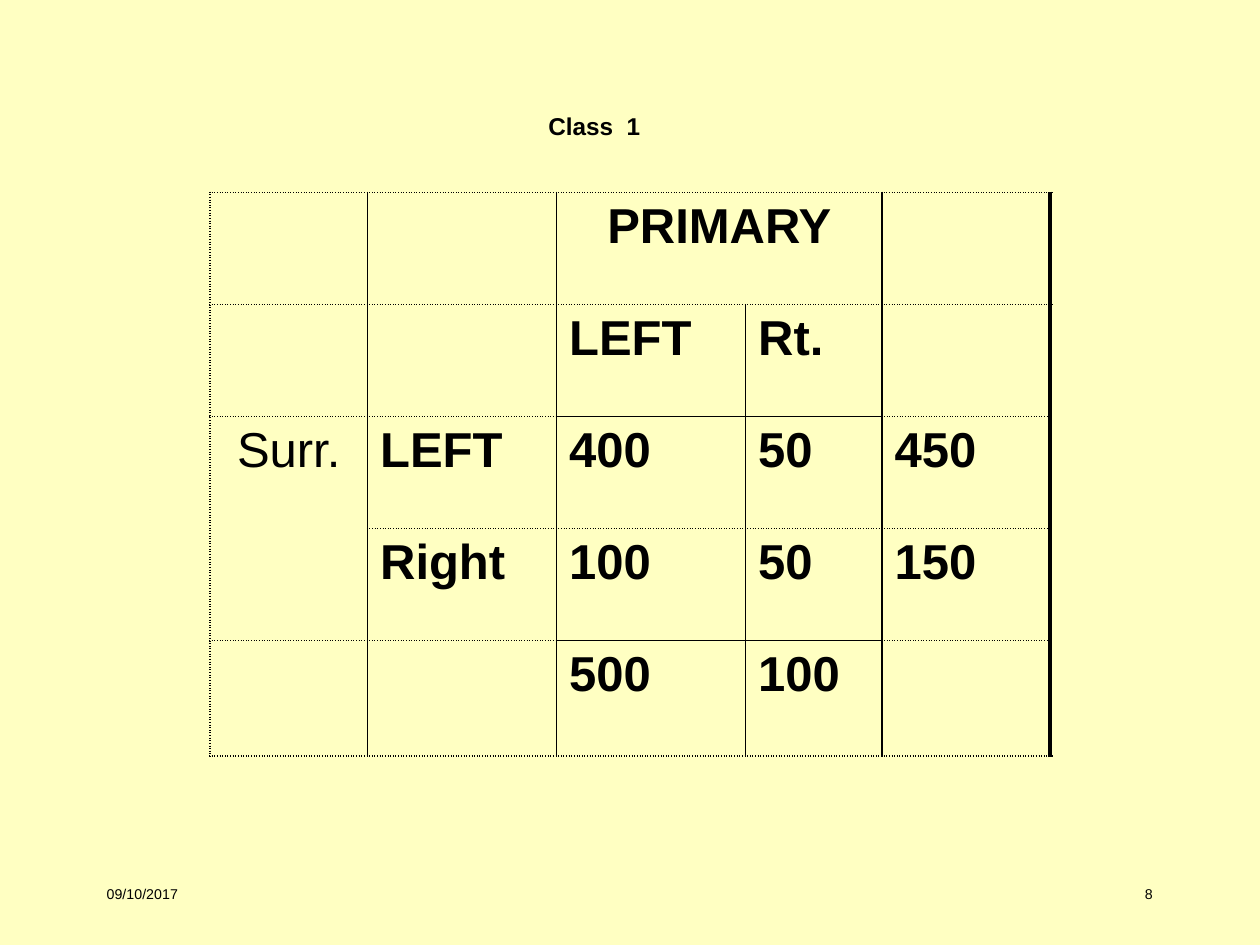
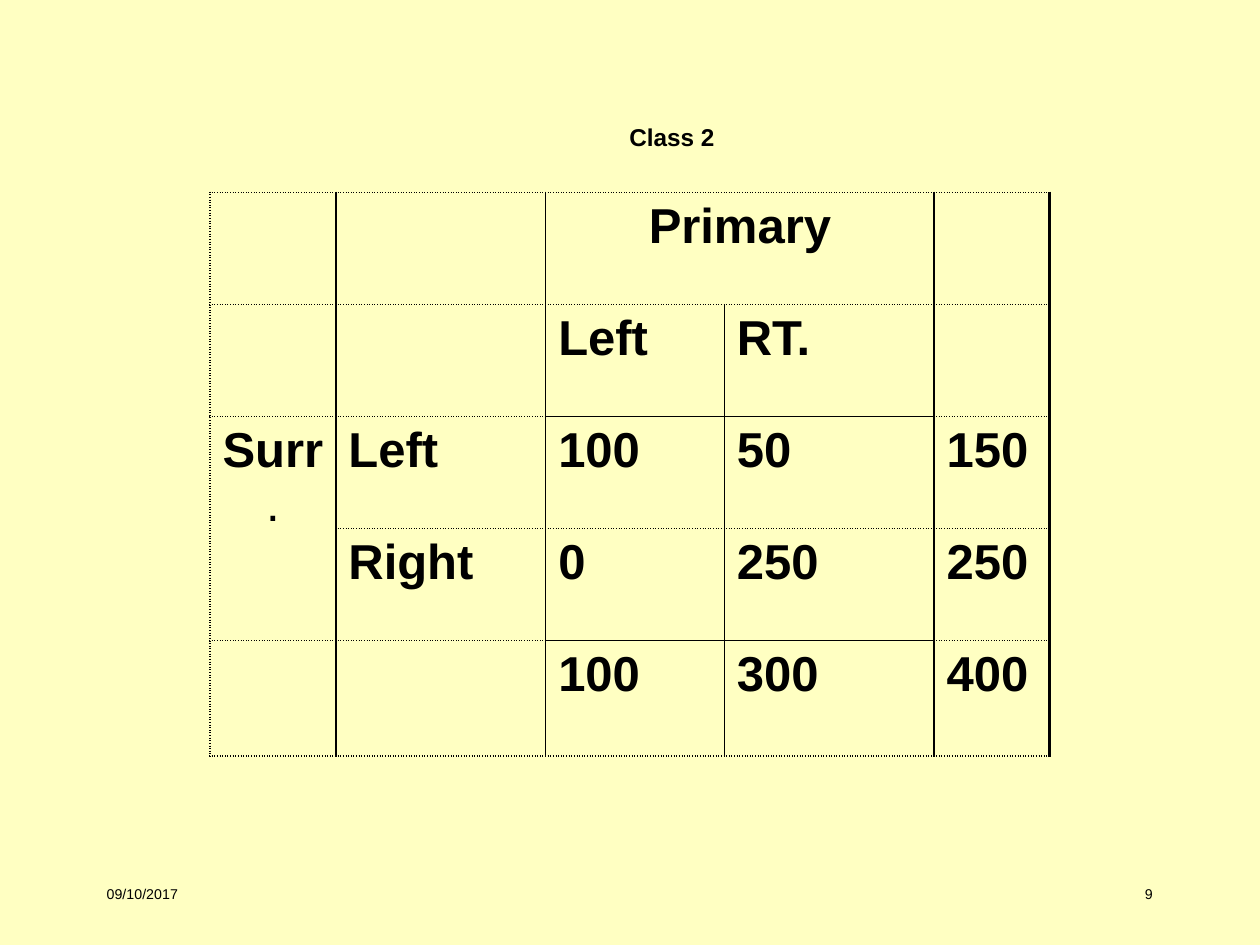
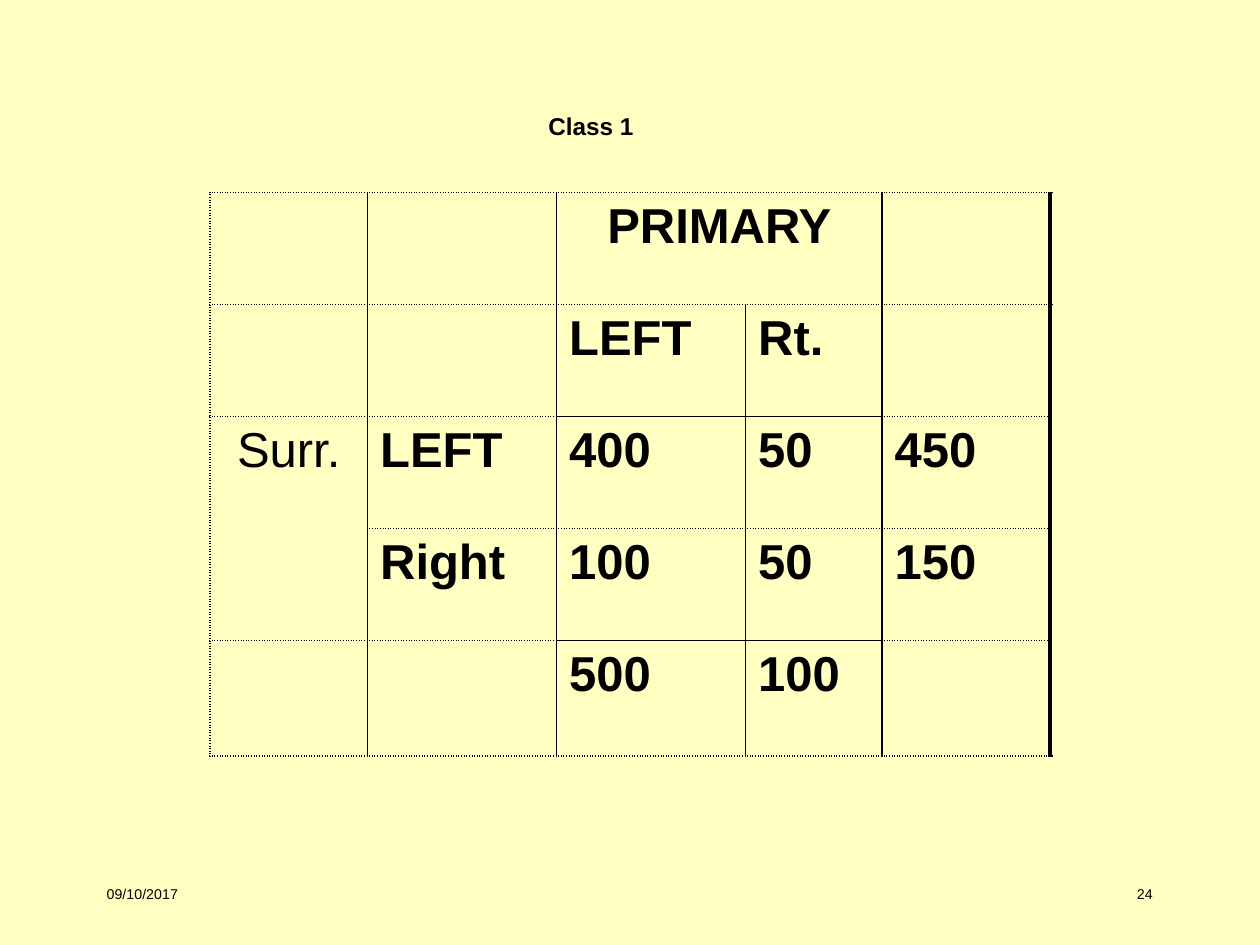
from dataclasses import dataclass

from lxml import etree
from pptx import Presentation
from pptx import util as u
from pptx.dml.color import RGBColor
from pptx.enum import text
from pptx.oxml.ns import qn

LEFT, CENTER, RIGHT = text.PP_ALIGN.LEFT, text.PP_ALIGN.CENTER, text.PP_ALIGN.RIGHT


# Shared look
@dataclass(frozen=True)
class Theme:
    background: str = "FFFFC2"
    ink: str = "000000"
    font: str = "Arial"
    title_size: int = 24
    cell_size: int = 28
    footer_size: int = 14
    subscript: int = -33000
    space_before: int = 20000
    thin: float = 1
    thick: float = 2.25


THEME = Theme()
DATE = "09/10/2017"
TITLE_ONLY = 5
BOX_HEIGHT = 1.27
ROW_HEIGHTS = (2.26, 2.26, 2.26, 2.26, 2.32)
INNER_COLUMNS = (2, 3)   # the primary split
RULED_ROWS = (2, 4)      # solid rule above these rows in the inner columns


# Contents; in a cell, text after "|" is not bold
@dataclass(frozen=True)
class Crosstab:
    columns: tuple[float, ...]
    rows: tuple[tuple[str, ...], ...]


@dataclass(frozen=True)
class ClassSlide:
    title: str
    left: float
    top: float
    width: float
    align: text.PP_ALIGN
    number: int
    crosstab: Crosstab


CLASS_1 = Crosstab(
    (3.18, 3.81, 3.81, 2.75, 3.39),
    (
        ("", "", "PRIMARY", "", ""),
        ("", "", "LEFT", "Rt.", ""),
        ("|Surr.", "LEFT", "400", "50", "450"),
        ("", "Right", "100", "50", "150"),
        ("", "", "500", "100", ""),
    ),
)
CLASS_2 = Crosstab(
    (2.54, 4.23, 3.6, 4.23, 2.33),
    (
        ("", "", "Primary", "", ""),
        ("", "", "Left", "RT.", ""),
        ("Surr|.", "Left", "100", "50", "150"),
        ("", "Right", "0", "250", "250"),
        ("", "", "100", "300", "400"),
    ),
)
CLASS_SLIDES = (
    ClassSlide("Class  1", 10.8, 1.48, 4.45, LEFT, 8, CLASS_1),
    ClassSlide("Class 2", 10.58, 1.69, 5.93, CENTER, 9, CLASS_2),
    ClassSlide("Class 1", 10.8, 1.48, 5.29, LEFT, 24, CLASS_1),
)


# Text
def format_run(run, size: int, bold: bool) -> None:
    run.font.name = THEME.font
    run.font.size = u.Pt(size)
    run.font.bold = bold
    run.font.color.rgb = RGBColor.from_string(THEME.ink)


def fill_box(box, words: str, size: int, align: text.PP_ALIGN, bold: bool = False) -> None:
    frame = box.text_frame
    frame.text = words
    frame.word_wrap = True
    frame.vertical_anchor = text.MSO_ANCHOR.TOP
    paragraph = frame.paragraphs[0]
    paragraph.alignment = align
    for run in paragraph.runs:
        format_run(run, size, bold)
        run._r.get_or_add_rPr().set("baseline", str(THEME.subscript))


def add_footer(slide, left: float, words: str, align: text.PP_ALIGN) -> None:
    box = slide.shapes.add_textbox(u.Cm(left), u.Cm(17.36), u.Cm(5.29), u.Cm(BOX_HEIGHT))
    fill_box(box, words, THEME.footer_size, align)


def place_title(slide, content: ClassSlide) -> None:
    title = slide.shapes.title
    title.left, title.top = u.Cm(content.left), u.Cm(content.top)
    title.width, title.height = u.Cm(content.width), u.Cm(BOX_HEIGHT)
    fill_box(title, content.title, THEME.title_size, content.align, bold=True)
    title.text_frame.auto_size = text.MSO_AUTO_SIZE.SHAPE_TO_FIT_TEXT


# Table
def set_border(cell, side: str, width: float, dotted: bool) -> None:
    line = etree.Element(qn(f"a:{side}"), w=str(u.Pt(width)))
    solid = etree.SubElement(line, qn("a:solidFill"))
    etree.SubElement(solid, qn("a:srgbClr"), val=THEME.ink)
    etree.SubElement(line, qn("a:prstDash"), val="sysDot" if dotted else "solid")
    cell._tc.get_or_add_tcPr().append(line)


def draw_borders(cell, row: int, column: int, last_column: int) -> None:
    inner = column in INNER_COLUMNS
    right = THEME.thick if column == last_column else THEME.thin
    set_border(cell, "lnL", THEME.thin, column == 0)
    set_border(cell, "lnR", right, False)
    set_border(cell, "lnT", THEME.thin, not (inner and row in RULED_ROWS))
    set_border(cell, "lnB", THEME.thin, not (inner and row + 1 in RULED_ROWS))


def write_cell(cell, words: str) -> None:
    paragraph = cell.text_frame.paragraphs[0]
    paragraph.alignment = CENTER if cell.is_merge_origin else LEFT
    spacing = etree.SubElement(paragraph._p.get_or_add_pPr(), qn("a:spcBef"))
    etree.SubElement(spacing, qn("a:spcPct"), val=str(THEME.space_before))
    strong, _, plain = words.partition("|")
    for part, bold in ((strong, True), (plain, False)):
        if part:
            run = paragraph.add_run()
            run.text = part
            format_run(run, THEME.cell_size, bold)


def add_crosstab(slide, crosstab: Crosstab) -> None:
    table = slide.shapes.add_table(
        len(ROW_HEIGHTS), len(crosstab.columns), u.Cm(4.23), u.Cm(3.88),
        u.Cm(sum(crosstab.columns)), u.Cm(sum(ROW_HEIGHTS)),
    ).table
    table.first_row = table.horz_banding = False
    for column, width in zip(table.columns, crosstab.columns):
        column.width = u.Cm(width)
    for row, height in zip(table.rows, ROW_HEIGHTS):
        row.height = u.Cm(height)

    # Headings over the primary columns and beside the surrogate rows
    table.cell(0, 2).merge(table.cell(0, 3))
    table.cell(2, 0).merge(table.cell(3, 0))

    for r, words_in_row in enumerate(crosstab.rows):
        for c, words in enumerate(words_in_row):
            cell = table.cell(r, c)
            if not cell.is_spanned:
                write_cell(cell, words)
                draw_borders(cell, r, c, len(crosstab.columns) - 1)
            cell.fill.background()


def main() -> None:
    deck = Presentation()
    deck.slide_width, deck.slide_height = u.Cm(25.4), u.Cm(19.05)
    backdrop = deck.slide_master.background.fill
    backdrop.solid()
    backdrop.fore_color.rgb = RGBColor.from_string(THEME.background)

    for content in CLASS_SLIDES:
        slide = deck.slides.add_slide(deck.slide_layouts[TITLE_ONLY])
        add_footer(slide, 1.9, DATE, LEFT)
        add_footer(slide, 18.2, str(content.number), RIGHT)
        add_crosstab(slide, content.crosstab)
        place_title(slide, content)

    deck.save("out.pptx")


if __name__ == "__main__":
    main()
